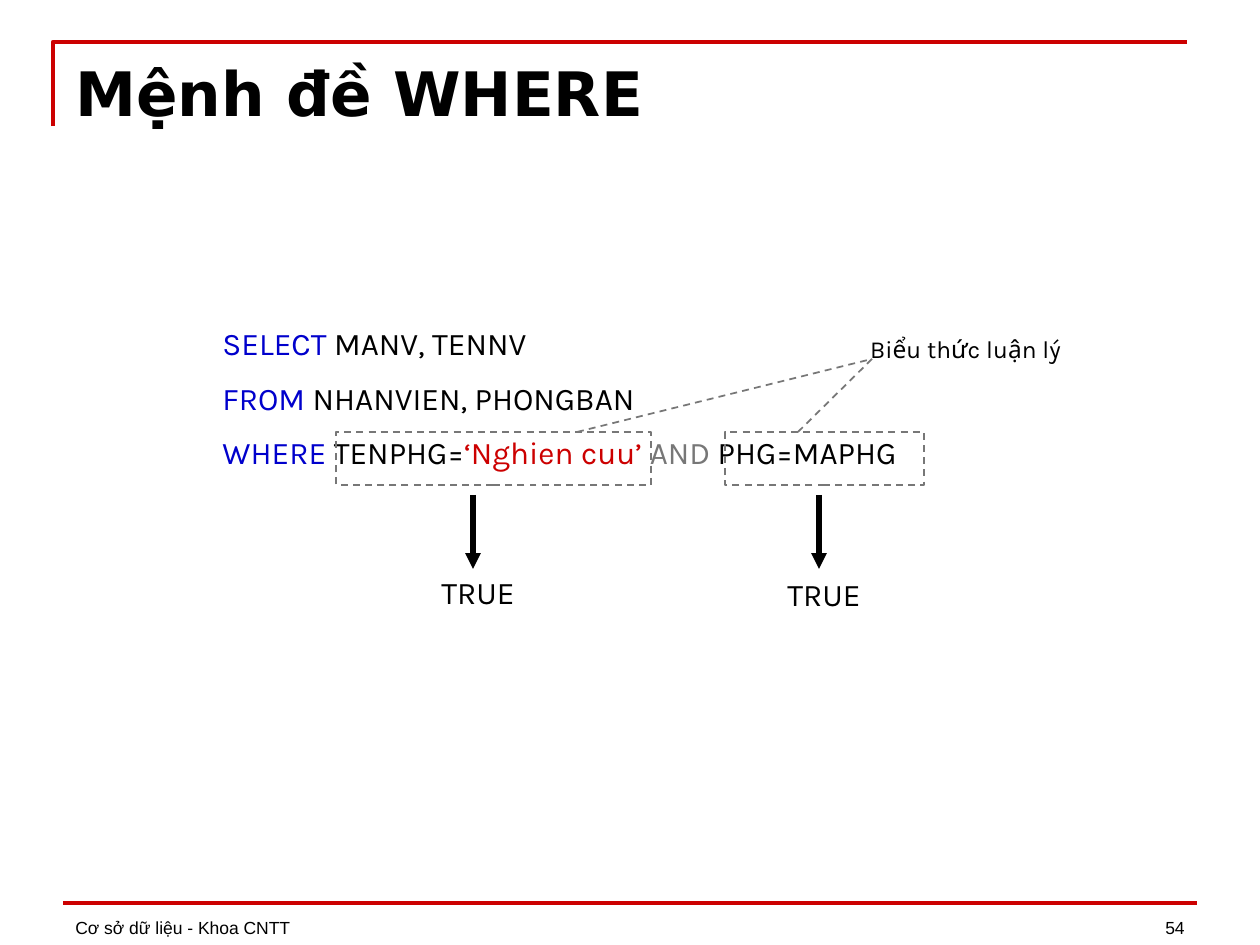
from typing import NamedTuple

from lxml import etree
from pptx import Presentation
from pptx.dml.color import RGBColor
from pptx.enum.dml import MSO_LINE
from pptx.enum.shapes import MSO_CONNECTOR, MSO_SHAPE
from pptx.enum.text import MSO_ANCHOR, PP_ALIGN
from pptx.oxml.ns import qn
from pptx.util import Pt

DASH = MSO_LINE.DASH
LINE = MSO_CONNECTOR.STRAIGHT
RECT = MSO_SHAPE.RECTANGLE
TOP, BOTTOM = MSO_ANCHOR.TOP, MSO_ANCHOR.BOTTOM
LEFT, MID, RIGHT = PP_ALIGN.LEFT, PP_ALIGN.CENTER, PP_ALIGN.RIGHT
SCALE = 914400 / 126
RED, BLUE, GRAY, BLACK = "CC0000", "0000CC", "777777", "000000"


class Box(NamedTuple):
    x: int
    y: int
    w: int
    h: int


class Label(NamedTuple):
    box: Box
    rows: list[list[tuple[str, str]]]
    size: int
    font: str = "Karla"
    align: PP_ALIGN = LEFT
    anchor: MSO_ANCHOR = TOP
    bold: bool = False


class Stroke(NamedTuple):
    start: tuple[int, int]
    end: tuple[int, int]
    color: str
    width: float
    dash: bool = False
    arrow: bool = False


def emu(px: int) -> int:
    return round(px * SCALE)


def rgb(code: str) -> RGBColor:
    return RGBColor.from_string(code)


def style(line, color: str, width: float, dash: bool = False) -> None:
    line.color.rgb = rgb(color)
    line.width = Pt(width)
    if dash:
        line.dash_style = DASH


def write(slide, label: Label) -> None:
    frame = slide.shapes.add_textbox(*map(emu, label.box)).text_frame
    frame.word_wrap = True
    frame.vertical_anchor = label.anchor
    for i, row in enumerate(label.rows):
        para = frame.add_paragraph() if i else frame.paragraphs[0]
        para.alignment = label.align
        if i:
            para.space_before = Pt(9.5)
        para.font.size = Pt(label.size)
        para.font.name = label.font
        para.font.bold = label.bold
        for text, color in row:
            run = para.add_run()
            run.text = text
            run.font.color.rgb = rgb(color)


def draw(slide, item: Stroke) -> None:
    line = slide.shapes.add_connector(LINE, *map(emu, item.start + item.end))
    style(line.line, item.color, item.width, item.dash)
    props = line.element.spPr
    if item.arrow:
        etree.SubElement(props.find(qn("a:ln")), qn("a:tailEnd"), type="triangle")
    etree.SubElement(props, qn("a:effectLst"))


def frame(slide, box: Box) -> None:
    rect = slide.shapes.add_shape(RECT, *map(emu, box))
    rect.shadow.inherit = False
    rect.fill.background()
    style(rect.line, GRAY, 1, True)


def corner(slide) -> None:
    pen = slide.shapes.build_freeform(53, 126, SCALE)
    pen.add_line_segments([(53, 42), (1187, 42)], close=False)
    shape = pen.convert_to_shape()
    shape.shadow.inherit = False
    shape.fill.background()
    style(shape.line, RED, 2.5)


QUERY = [
    [("SELECT", BLUE), (" MANV, TENNV", BLACK)],
    [("FROM ", BLUE), ("NHANVIEN, PHONGBAN", BLACK)],
    [("WHERE ", BLUE), ("TENPHG=", BLACK), ("‘Nghien cuu’ ", RED),
     ("AND ", GRAY), ("PHG=MAPHG", BLACK)],
]
TRUE = [[("TRUE", BLACK)]]
LABELS = [
    Label(Box(63, 881, 766, 63), [[("Cơ sở dữ liệu - Khoa CNTT", BLACK)]], 10, "Arial",
          anchor=BOTTOM),
    Label(Box(903, 881, 294, 63), [[("54", BLACK)]], 10, "Arial", RIGHT, BOTTOM),
    Label(Box(63, 49, 1134, 86), [[("Mệnh đề WHERE", BLACK)]], 35, "DejaVu Sans",
          anchor=BOTTOM, bold=True),
    Label(Box(210, 318, 777, 164), QUERY, 18),
    Label(Box(850, 328, 231, 42), [[("Biểu thức luận lý", BLACK)]], 14, align=MID),
    Label(Box(410, 567, 136, 50), TRUE, 18, align=MID),
    Label(Box(756, 569, 136, 50), TRUE, 18, align=MID),
]
TERMS = [Box(336, 432, 315, 53), Box(725, 432, 199, 53)]
TIP = (872, 359)
STROKES = [
    Stroke((63, 903), (1197, 903), RED, 2),
    Stroke((577, 432), TIP, GRAY, 1, dash=True),
    Stroke(TIP, (798, 432), GRAY, 1, dash=True),
    *(Stroke((x, 495), (x, 569), BLACK, 3, arrow=True) for x in (473, 819)),
]


def main() -> None:
    deck = Presentation()
    deck.slide_width, deck.slide_height = emu(1260), emu(945)
    slide = deck.slides.add_slide(deck.slide_layouts[6])
    corner(slide)
    for label in LABELS:
        write(slide, label)
    for box in TERMS:
        frame(slide, box)
    for item in STROKES:
        draw(slide, item)
    deck.save("out.pptx")


if __name__ == "__main__":
    main()
